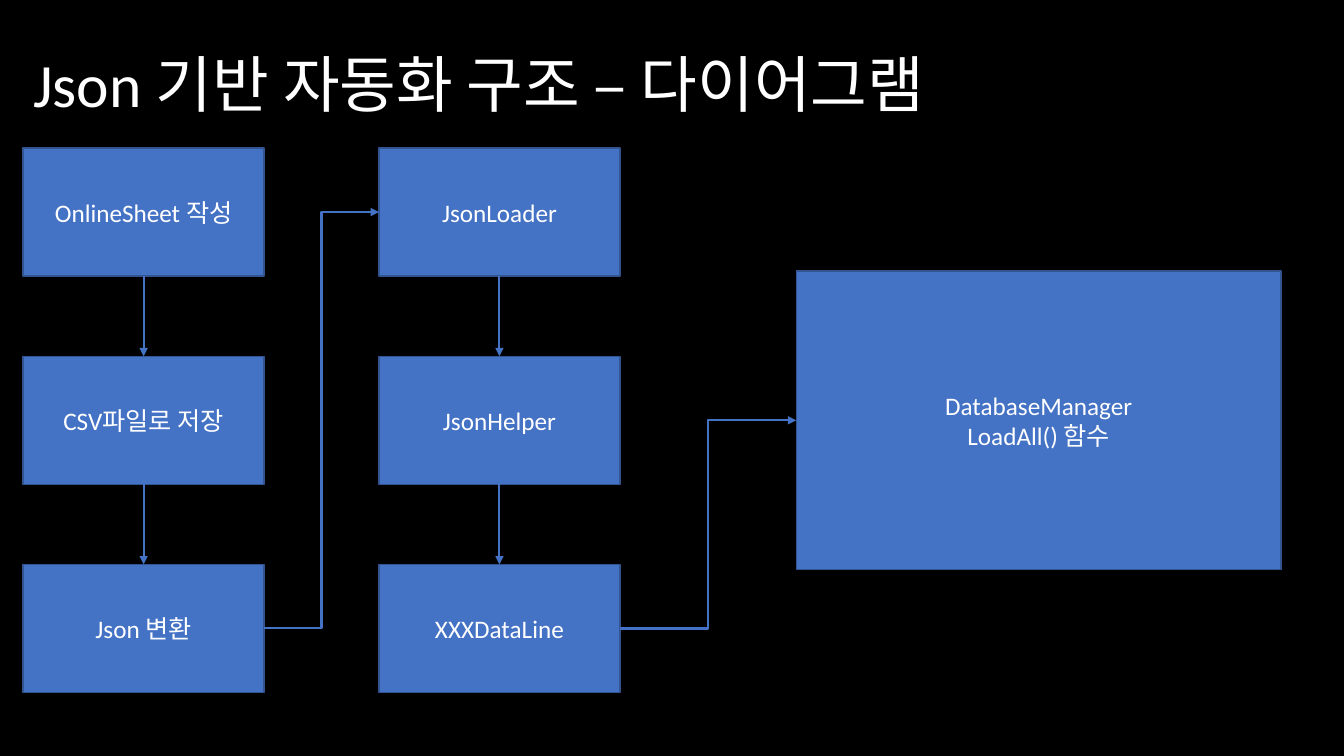
from dataclasses import dataclass
from pptx import Presentation
from pptx.dml.color import RGBColor
from pptx.enum.shapes import MSO_CONNECTOR, MSO_SHAPE
from pptx.enum.text import MSO_ANCHOR, MSO_AUTO_SIZE, PP_ALIGN
from pptx.oxml import parse_xml
from pptx.oxml.ns import nsdecls
from pptx.util import Pt


@dataclass(frozen=True)
class Theme:
    back: RGBColor = RGBColor.from_string("000000")
    text: RGBColor = RGBColor.from_string("FFFFFF")
    fill: RGBColor = RGBColor.from_string("4472C4")
    edge: RGBColor = RGBColor.from_string("325491")
    face: str = "Calibri"
    title: int = 44
    label: int = 18
    border: float = 1
    arrow: float = 1.5


THEME = Theme()
TOP, LEFT, BOTTOM, RIGHT = range(4)


def apply(target, values):
    for name, value in values.items():
        setattr(target, name, value)


def write(shape, text, size, align, spacing):
    frame = shape.text_frame
    apply(frame, {"word_wrap": True, "auto_size": MSO_AUTO_SIZE.NONE,
                  "vertical_anchor": MSO_ANCHOR.MIDDLE})
    para = frame.paragraphs[0]
    para.text = text
    apply(para, {"alignment": align, "line_spacing": spacing})
    for run in para.runs:
        apply(run.font, {"name": THEME.face, "size": Pt(size)})
        run.font.color.rgb = THEME.text


def add_title(slide, box, text):
    title = slide.shapes.title
    apply(title, dict(zip(("left", "top", "width", "height"), map(Pt, box))))
    write(title, text, THEME.title, PP_ALIGN.LEFT, 0.9)


def add_box(slide, box, text):
    shape = slide.shapes.add_shape(MSO_SHAPE.RECTANGLE, *map(Pt, box))
    shape.shadow.inherit = False
    shape.fill.solid()
    shape.fill.fore_color.rgb = THEME.fill
    shape.line.color.rgb = THEME.edge
    shape.line.width = Pt(THEME.border)
    write(shape, text, THEME.label, PP_ALIGN.CENTER, 1.0)
    return shape


def link(slide, kind, start, out, end, into):
    line = slide.shapes.add_connector(kind, 0, 0, 0, 0)
    line.begin_connect(start, out)
    line.end_connect(end, into)
    line.line.color.rgb = THEME.fill
    line.line.width = Pt(THEME.arrow)
    line.line._get_or_add_ln().append(
        parse_xml(f'<a:tailEnd {nsdecls("a")} type="triangle"/>'))
    line._element.spPr.append(parse_xml(f'<a:effectLst {nsdecls("a")}/>'))


def add_column(slide, box, labels):
    left, top, width, height = box
    tall = 91.44
    step = (height - tall) / (len(labels) - 1)
    steps = [add_box(slide, (left, top + row * step, width, tall), label)
             for row, label in enumerate(labels)]
    for start, end in zip(steps, steps[1:]):
        link(slide, MSO_CONNECTOR.STRAIGHT, start, BOTTOM, end, TOP)
    return steps


def add_flow(slide, box):
    left, top, width, height = box
    wide, shift = 172.08, 254.16
    columns = (
        ("OnlineSheet 작성", "CSV파일로 저장", "Json 변환"),
        ("JsonLoader", "JsonHelper", "XXXDataLine"),
    )
    first, second = [
        add_column(slide, (left + col * shift, top, wide, height), labels)
        for col, labels in enumerate(columns)
    ]
    goal_w, goal_h = 346.32, 213.12
    goal = add_box(
        slide,
        (left + width - goal_w, top + (height - goal_h) / 2, goal_w, goal_h),
        "DatabaseManager\nLoadAll() 함수")
    for start, end in ((first[-1], second[0]), (second[-1], goal)):
        link(slide, MSO_CONNECTOR.ELBOW, start, RIGHT, end, LEFT)


def main():
    deck = Presentation()
    apply(deck, {"slide_width": Pt(960), "slide_height": Pt(540)})
    slide = deck.slides.add_slide(deck.slide_layouts[5])
    slide.background.fill.solid()
    slide.background.fill.fore_color.rgb = THEME.back
    add_title(slide, (16.56, 10.08, 828, 104.4),
              "Json 기반 자동화 구조 – 다이어그램")
    add_flow(slide, (16.56, 105.84, 898.56, 388.8))
    deck.save("out.pptx")


if __name__ == "__main__":
    main()
